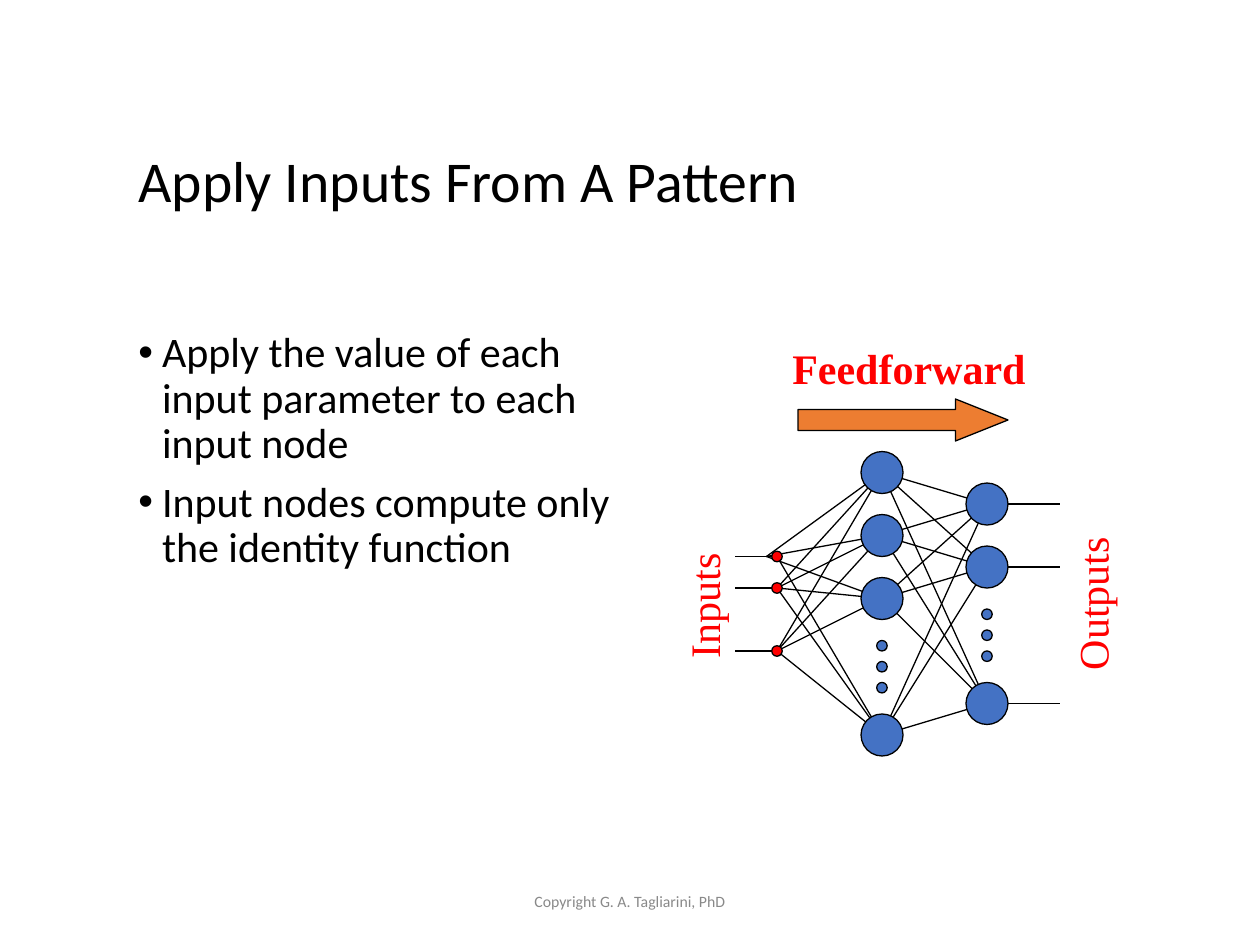
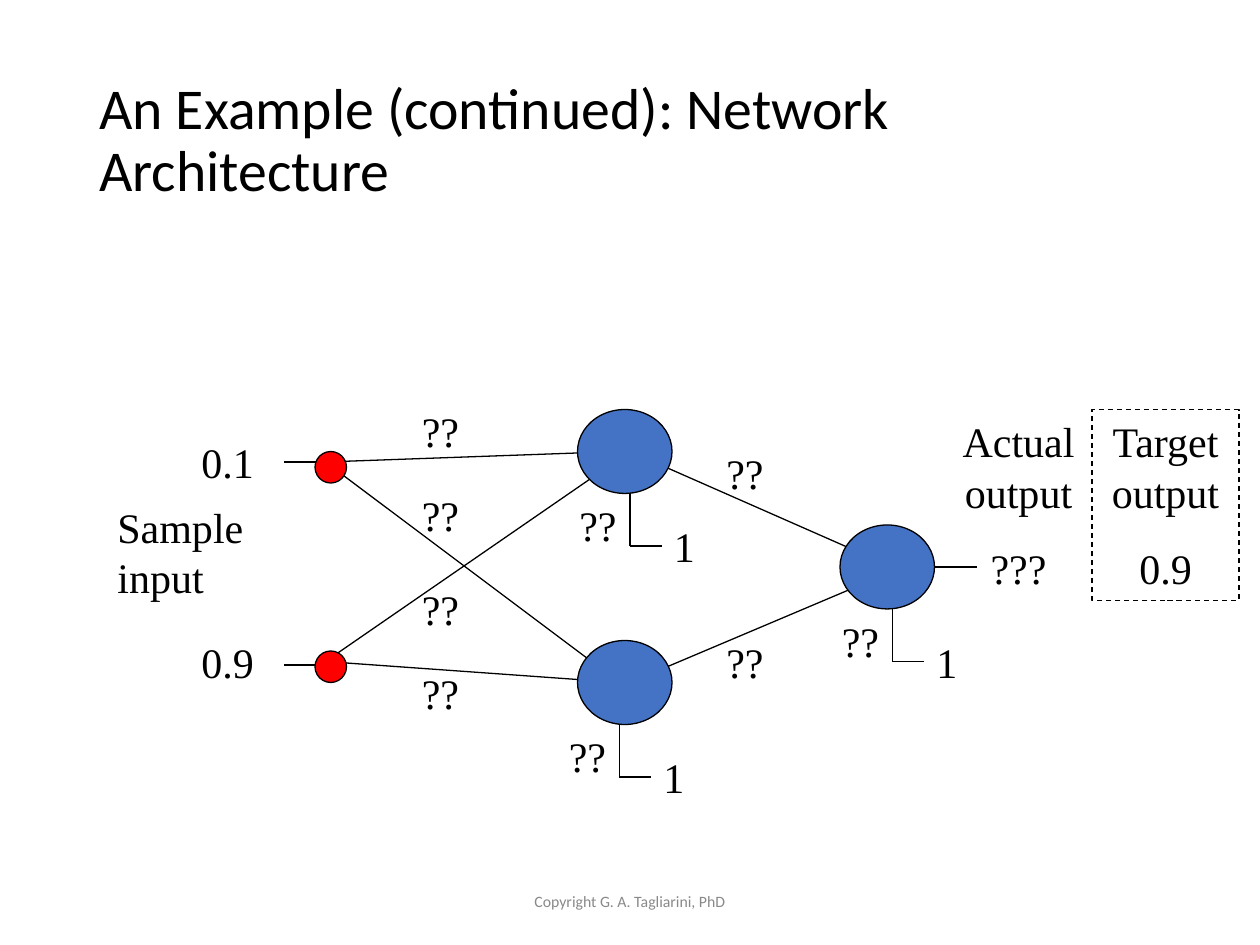
from itertools import product

from lxml import etree
from pptx import Presentation
from pptx import util as u
from pptx.dml import color
from pptx.enum import dml, shapes, text
from pptx.oxml import ns

BLACK, RED, BLUE, ORANGE, GREY = "000000", "FF0000", "4472C4", "ED7D31", "898989"
LEFT, CENTER = text.PP_ALIGN.LEFT, text.PP_ALIGN.CENTER
TITLE = {"name": "Calibri", "size": 33, "color": BLACK}
BODY = {"name": "Calibri", "size": 24, "color": BLACK}
FOOTER = {"name": "Calibri", "size": 9, "color": GREY}
LABEL = {"name": "Times New Roman", "size": 24, "color": BLACK}
RED_LABEL = {**LABEL, "color": RED}
FOOTER_BOX = (238.3, 500.4, 243, 29)


def rgb(value):
    """Return the colour for a hex string."""
    return color.RGBColor.from_string(value)


def points(*values):
    """Return the given numbers as point lengths."""
    return [u.Pt(value) for value in values]


def set_values(target, values):
    """Set every attribute named in the dict."""
    for name, value in values.items():
        setattr(target, name, value)


def write(shape, lines, font, paragraph=None, frame=None):
    """Fill a shape with one formatted paragraph per line."""
    body = shape.text_frame
    set_values(body, {"word_wrap": True, "auto_size": text.MSO_AUTO_SIZE.NONE,
                      "vertical_anchor": text.MSO_ANCHOR.TOP, **(frame or {})})
    for index, line in enumerate(lines):
        para = body.add_paragraph() if index else body.paragraphs[0]
        set_values(para, {"alignment": LEFT, **(paragraph or {})})
        span = para.add_run()
        span.text = line
        set_values(span.font, {"name": font["name"], "size": u.Pt(font["size"]),
                               "bold": font.get("bold", False)})
        span.font.color.rgb = rgb(font["color"])
    return shape


def add_text(canvas, box, lines, font, paragraph=None, frame=None):
    """Add a text box."""
    return write(canvas.shapes.add_textbox(*points(*box)), lines, font, paragraph, frame)


def add_label(canvas, box, lines, alignment=LEFT):
    """Add a black serif label."""
    return add_text(canvas, box, lines, LABEL,
                    {"alignment": alignment, "space_before": u.Pt(15)})


def add_figure(canvas, kind, box, fill=None):
    """Add a preset shape with a thin black outline."""
    shape = canvas.shapes.add_shape(kind, *points(*box))
    shape.shadow.inherit = False
    if fill:
        shape.fill.solid()
        shape.fill.fore_color.rgb = rgb(fill)
    else:
        shape.fill.background()
    shape.line.color.rgb = rgb(BLACK)
    shape.line.width = u.Pt(0.75)
    return shape


def add_node(canvas, center, width, height, fill):
    """Add an ellipse around a centre point."""
    x, y = center
    return add_figure(canvas, shapes.MSO_SHAPE.OVAL,
                      (x - width / 2, y - height / 2, width, height), fill)


def add_line(canvas, start, end):
    """Add a thin black line between two points."""
    line = canvas.shapes.add_connector(shapes.MSO_CONNECTOR.STRAIGHT, *points(*start, *end))
    line.line.color.rgb = rgb(BLACK)
    line.line.width = u.Pt(0.75)
    etree.SubElement(line._element.spPr, ns.qn("a:effectLst"))


def add_page(deck, title, box):
    """Add a slide with its title and the shared footer."""
    page = deck.slides.add_slide(deck.slide_layouts[5])
    heading = page.shapes.title
    set_values(heading, dict(zip(("left", "top", "width", "height"), points(*box))))
    middle = {"vertical_anchor": text.MSO_ANCHOR.MIDDLE}
    write(heading, [title], TITLE, {"line_spacing": 0.9}, middle)
    add_text(page, FOOTER_BOX, ["Copyright G. A. Tagliarini, PhD"], FOOTER,
             {"alignment": CENTER}, middle)
    return page


def add_bullets(page, box, lines):
    """Add a bulleted list."""
    shape = add_text(page, box, lines, BODY, {"line_spacing": 0.9, "space_before": u.Pt(7.5)})
    for para in shape.text_frame.paragraphs:
        properties = para._p.get_or_add_pPr()
        properties.set("marL", str(u.Pt(13.5)))
        properties.set("indent", str(u.Pt(-13.5)))
        etree.SubElement(properties, ns.qn("a:buFont"), typeface="Arial")
        etree.SubElement(properties, ns.qn("a:buChar"), char="•")


def add_feedforward_network(page, left, top):
    """Draw the layered network with its direction arrow and labels."""
    canvas = page.shapes.add_group_shape()

    def layer(x, heights):
        return [(left + x, top + y) for y in heights]

    inputs = layer(60, (126, 144, 180))
    hidden = layer(120, (78, 114, 150, 228))
    outputs = layer(180, (96, 132, 210))
    for x, y in inputs:
        add_line(canvas, (x, y), (left + 36, y))
    for (x, y), target in product(inputs, hidden):
        early = y == inputs[0][1] and target != hidden[-1]
        add_line(canvas, (x - 6 if early else x, y), target)
    for start, end in product(hidden, outputs):
        add_line(canvas, start, end)
    for x, y in outputs:
        add_line(canvas, (x, y), (left + 222, y))
    for nodes in (hidden, outputs):
        for center in nodes:
            add_node(canvas, center, 24, 24, BLUE)
        x, y = nodes[-2]
        for step in range(3):
            add_node(canvas, (x, y + 27 + 12 * step), 6, 6, BLUE)
    for center in inputs:
        add_node(canvas, center, 6, 6, RED)
    add_text(canvas, (left + 61.7, top, 148, 36), ["Feedforward"],
             {**RED_LABEL, "bold": True}, {"space_before": u.Pt(15)})
    for name, x, y, width in (("Inputs", -19, 136.3, 74), ("Outputs", 195, 135, 90)):
        label = add_text(canvas, (left + x, top + y, width, 36), [name], RED_LABEL,
                         frame={"word_wrap": False})
        label.rotation = 270
    arrow = add_figure(canvas, shapes.MSO_SHAPE.RIGHT_ARROW,
                       (left + 72, top + 36, 120, 24), ORANGE)
    arrow.adjustments[1] = 1.25


def add_example_network(page, left, top):
    """Draw the two-input example network with weights and values."""
    canvas = page.shapes.add_group_shape()

    def at(x, y):
        return left + x, top + y

    links = [
        ((126, 30), (294, 24)), ((126, 30), (294, 156)),
        ((126, 144), (300, 24)), ((126, 144), (294, 156)),
        ((300, 24), (450, 90)), ((300, 156), (456, 90)), ((456, 90), (498, 90)),
        ((126, 30), (102, 30)), ((126, 146), (102, 146)),
    ]
    biases = [(300, 24), (294, 156), (450, 90)]
    for x, y in biases:
        links += [((x, y), (x, y + 54)), ((x, y + 54), (x + 18, y + 54))]
    for start, end in links:
        add_line(canvas, at(*start), at(*end))
    for y in (33, 147):
        add_node(canvas, at(129, y), 18, 18, RED)
    for center in ((297, 24), (297, 156), (447, 90)):
        add_node(canvas, at(*center), 54, 48, BLUE)

    weights = [(174, -6), (174, 42), (174, 96), (174, 144), (348, 18), (348, 126)]
    weights += [(x - 36, y + 24) for x, y in biases]
    for place in weights:
        add_label(page, (*at(*place), 42, 36), ["??"])
    for x, y in biases:
        add_label(page, (*at(x + 18, y + 36), 25, 36), ["1"])
    add_label(page, (*at(0, 49), 90, 65), ["Sample input"])
    for value, y in (("0.1", 12), ("0.9", 126)):
        add_label(page, (*at(48, y), 60, 36), [value])
    add_label(page, (*at(480, 0), 84, 109), ["Actual output", "???"], CENTER)
    target = add_figure(page, shapes.MSO_SHAPE.RECTANGLE, (*at(564, 0), 84, 109))
    target.line.dash_style = dml.MSO_LINE.DASH
    write(target, ["Target output", "0.9"], LABEL,
          {"alignment": CENTER, "space_before": u.Pt(15)})


def main():
    """Build and save the deck."""
    deck = Presentation()
    deck.slide_width, deck.slide_height = points(720, 540)
    page = add_page(deck, "Apply Inputs From A Pattern", (72, 60, 630, 90))
    add_bullets(page, (72, 186, 309, 294), [
        "Apply the value of each input parameter to each input node",
        "Input nodes compute only the identity function",
    ])
    add_feedforward_network(page, 384, 192)
    page = add_page(deck, "An Example (continued): Network Architecture",
                    (49.5, 28.75, 621, 104.4))
    add_example_network(page, 60, 234)
    deck.save("out.pptx")


if __name__ == "__main__":
    main()
